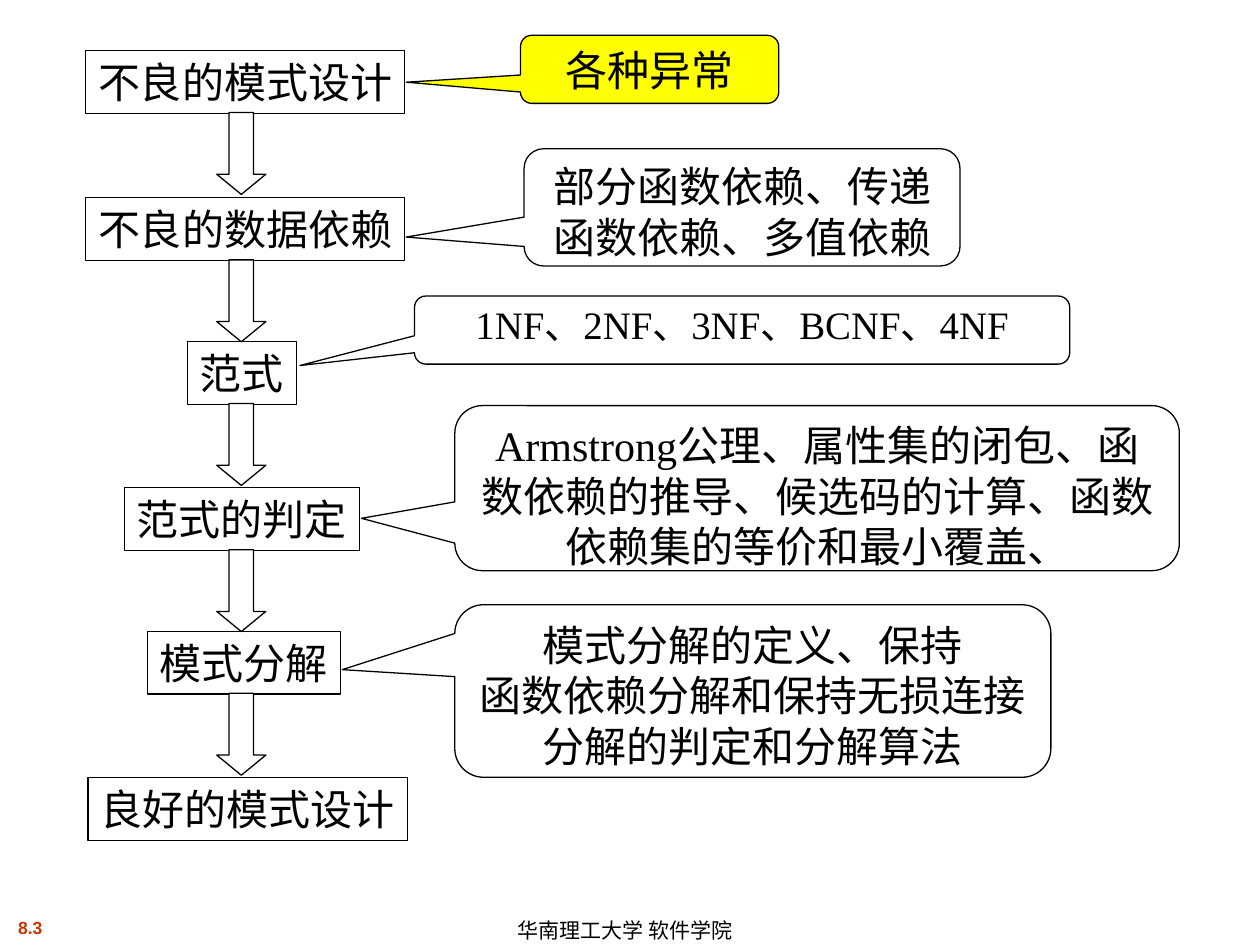
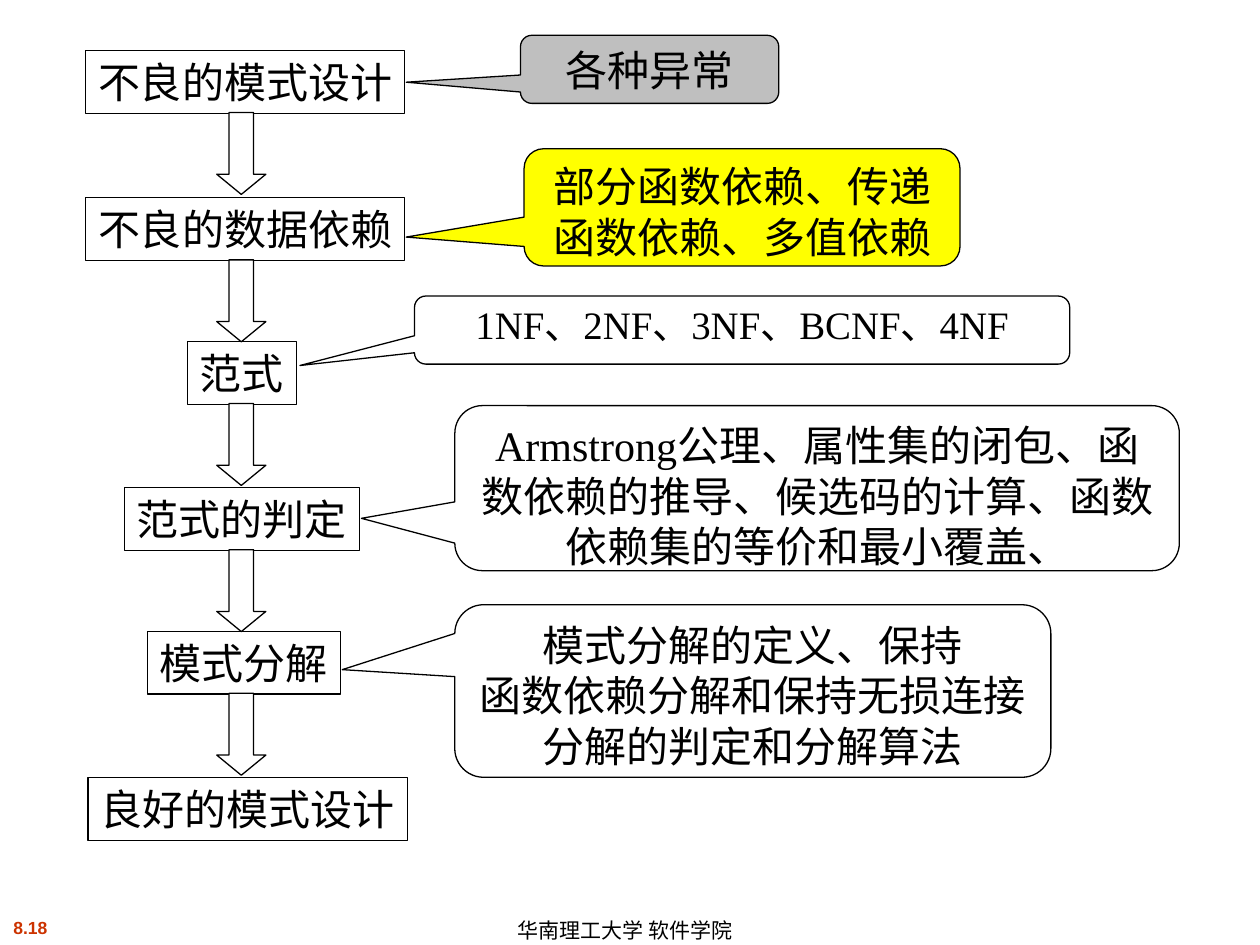
import pptx
import pptx.dml.color
import pptx.enum.shapes
import pptx.enum.text
import pptx.util
from dataclasses import dataclass

Pt = pptx.util.Pt
Preset = pptx.enum.shapes.MSO_SHAPE
Align = pptx.enum.text.PP_ALIGN
Anchor = pptx.enum.text.MSO_ANCHOR
AutoSize = pptx.enum.text.MSO_AUTO_SIZE


@dataclass(frozen=True)
class Theme:
    ink: str = "000000"
    plain: str = "FFFFFF"
    current: str = "FFFF00"
    finished: str = "BFBFBF"
    number: str = "CC3300"
    body_font: str = "Times New Roman"
    footer_font: str = "Arial"
    body_size: float = 24
    compact_size: float = 22.2
    footer_size: float = 12
    number_size: float = 10
    outline: float = 0.75


THEME = Theme()

# Slide number and index of the topic being taught
SLIDES = [("8.3", 0), ("8.18", 1)]
FOOTER = "华南理工大学 软件学院"

# Text, centre x, top
STEPS = [
    ("不良的模式设计", 140, 28.8),
    ("不良的数据依赖", 140, 113),
    ("范式", 138.2, 195.1),
    ("范式的判定", 138.2, 278.6),
    ("模式分解", 139.4, 360.7),
    ("良好的模式设计", 141.5, 444.2),
]
STEP_HEIGHT = 36
STEP_PADDING = 14.4
ARROW_CENTRE, ARROW_WIDTH, ARROW_HEIGHT = 137.9, 28.1, 46.8

# Paragraphs, (left, top, width, height), tip of the pointer, size, line spacing
TOPICS = [
    (["各种异常"], (297.4, 20.2, 147.6, 38.9), (232.1, 47), THEME.body_size, 1),
    (["部分函数依赖、传递函数依赖、多值依赖"],
     (299.5, 85, 249.1, 67), (232.1, 135.5), THEME.body_size, 1),
    (["1NF、2NF、3NF、BCNF、4NF"],
     (236.9, 169.2, 374.4, 38.9), (171.4, 208.9), THEME.compact_size, 0.9),
    (["Armstrong公理、属性集的闭包、函数依赖的推导、候选码的计算、函数依赖集的等价和最小覆盖、"],
     (259.9, 231.8, 414, 94.3), (206.5, 296.2), THEME.body_size, 1),
    (["模式分解的定义、保持", "函数依赖分解和保持无损连接分解的判定和分解算法"],
     (259.9, 345.6, 340.6, 98.6), (195.6, 382.7), THEME.body_size, 1),
]


def rgb(code):
    return pptx.dml.color.RGBColor.from_string(code)


def write(box, paragraphs, size, font=THEME.body_font, color=THEME.ink, bold=False,
          align=Align.CENTER, anchor=Anchor.TOP, spacing=1, wrap=False):
    frame = box.text_frame
    frame.word_wrap = wrap
    frame.vertical_anchor = anchor
    frame.margin_left = frame.margin_right = Pt(7.2)
    frame.margin_top = frame.margin_bottom = Pt(3.6)
    for index, text in enumerate(paragraphs):
        para = frame.add_paragraph() if index else frame.paragraphs[0]
        para.alignment = align
        para.line_spacing = spacing
        span = para.add_run()
        span.text = text
        span.font.size = Pt(size)
        span.font.name = font
        span.font.bold = bold
        span.font.color.rgb = rgb(color)


def add_outlined(page, preset, bounds, fill=THEME.plain):
    shape = page.shapes.add_shape(preset, *map(Pt, bounds))
    shape.shadow.inherit = False
    shape.fill.solid()
    shape.fill.fore_color.rgb = rgb(fill)
    shape.line.color.rgb = rgb(THEME.ink)
    shape.line.width = Pt(THEME.outline)
    return shape


def add_step(page, text, centre, top):
    """Draw a box as wide as its full-width characters plus the margins."""
    width = len(text) * THEME.body_size + STEP_PADDING
    box = add_outlined(page, Preset.RECTANGLE,
                       (centre - width / 2, top, width, STEP_HEIGHT))
    write(box, [text], THEME.body_size, anchor=Anchor.MIDDLE)
    box.text_frame.auto_size = AutoSize.SHAPE_TO_FIT_TEXT


def add_arrow(page, step_top):
    arrow = add_outlined(page, Preset.DOWN_ARROW,
                         (ARROW_CENTRE - ARROW_WIDTH / 2, step_top + STEP_HEIGHT - 0.5,
                          ARROW_WIDTH, ARROW_HEIGHT))
    arrow.adjustments[1] = 0.41


def add_topic(page, paragraphs, bounds, tip, size, spacing, fill):
    """Draw a callout; its pointer is set as an offset from the centre."""
    left, top, width, height = bounds
    callout = add_outlined(page, Preset.ROUNDED_RECTANGULAR_CALLOUT, bounds, fill)
    callout.adjustments[0] = (tip[0] - left) / width - 0.5
    callout.adjustments[1] = (tip[1] - top) / height - 0.5
    write(callout, paragraphs, size, spacing=spacing, wrap=True)


def add_footer(page, number):
    box = page.shapes.add_textbox(Pt(-18), Pt(520.6), Pt(70.6), Pt(19.4))
    write(box, [number], THEME.number_size, THEME.footer_font, THEME.number, bold=True)
    box = page.shapes.add_textbox(Pt(288.7), Pt(522), Pt(161.3), Pt(18))
    write(box, [FOOTER], THEME.footer_size, THEME.footer_font,
          align=Align.LEFT, anchor=Anchor.MIDDLE, spacing=1.1)


def topic_fill(index, current):
    if index == current:
        return THEME.current
    return THEME.finished if index < current else THEME.plain


def add_roadmap(deck, number, current):
    page = deck.slides.add_slide(deck.slide_layouts[6])
    add_footer(page, number)
    for step in STEPS:
        add_step(page, *step)
    for index, topic in enumerate(TOPICS):
        add_topic(page, *topic, topic_fill(index, current))
    for _, _, top in STEPS[:-1]:
        add_arrow(page, top)


def main():
    deck = pptx.Presentation()
    deck.slide_width, deck.slide_height = Pt(720), Pt(540)
    for number, current in SLIDES:
        add_roadmap(deck, number, current)
    deck.save("out.pptx")


if __name__ == "__main__":
    main()
